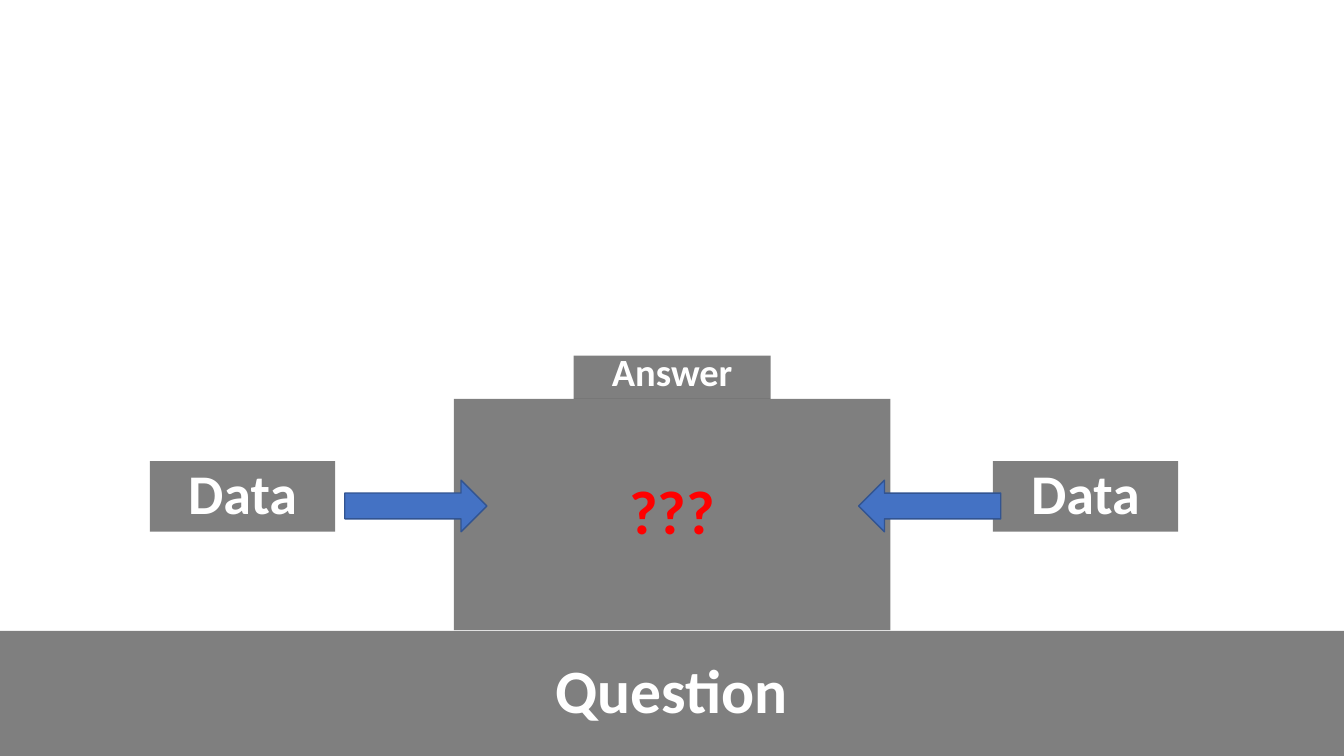
from pptx import Presentation
from pptx import util as u
from pptx.dml import color
from pptx.enum import shapes, text
from pptx.oxml import ns
from lxml import etree

GREY_VEIL, WHITE, RED = "000000", "FFFFFF", "FF0000"
ARROW_FILL, ARROW_LINE = "4472C4", "325491"
SLIDE_WIDTH, SLIDE_HEIGHT = 33.87, 19.05


def rgb(hex_value):
    return color.RGBColor.from_string(hex_value)


def set_format(target, values):
    for name, value in values.items():
        setattr(target, name, value)


def place(shape, box):
    names = ("left", "top", "width", "height")
    set_format(shape, dict(zip(names, map(u.Cm, box))))


def fill_half_transparent(shape, hex_value):
    shape.fill.solid()
    shape.fill.fore_color.rgb = rgb(hex_value)
    shade = shape.fill._xPr.find(".//" + ns.qn("a:srgbClr"))
    etree.SubElement(shade, ns.qn("a:alpha"), val="50000")


def write_label(shape, label, size, hex_value=WHITE, line_spacing=0.9):
    """Style a shape as a grey block with one centred bold line."""
    fill_half_transparent(shape, GREY_VEIL)
    shape.line.fill.background()
    frame = shape.text_frame
    set_format(frame, {"text": label, "word_wrap": True,
                       "auto_size": text.MSO_AUTO_SIZE.NONE,
                       "vertical_anchor": text.MSO_ANCHOR.MIDDLE})
    paragraph = frame.paragraphs[0]
    set_format(paragraph, {"alignment": text.PP_ALIGN.CENTER,
                           "line_spacing": line_spacing,
                           "space_before": u.Pt(0)})
    font = paragraph.runs[0].font
    set_format(font, {"name": "Calibri", "size": u.Pt(size), "bold": True})
    font.color.rgb = rgb(hex_value)


def add_preset(slide, preset, box):
    shape = slide.shapes.add_shape(preset, *map(u.Cm, box))
    shape.shadow.inherit = False
    return shape


def add_block(slide, box, label, size, **style):
    block = add_preset(slide, shapes.MSO_SHAPE.RECTANGLE, box)
    write_label(block, label, size, **style)


def add_question(slide, box):
    title = slide.shapes.title
    place(title, box)
    write_label(title, "Question", 44)


def add_answer_tower(slide, box):
    """Stack the small answer block, centred, on the unknown block."""
    left, top, width, height = box
    answer_width, answer_height = 4.96, 1.09
    answer_left = left + (width - answer_width) / 2
    add_block(slide, (answer_left, top, answer_width, answer_height),
              "Answer", 27.5, line_spacing=0.7)
    add_block(slide, (left, top + answer_height, width, height - answer_height),
              "???", 44, hex_value=RED)


def add_data_arrow(slide, box, rotation):
    arrow = add_preset(slide, shapes.MSO_SHAPE.RIGHT_ARROW, box)
    arrow.rotation = rotation
    arrow.fill.solid()
    arrow.fill.fore_color.rgb = rgb(ARROW_FILL)
    arrow.line.color.rgb = rgb(ARROW_LINE)
    arrow.line.width = u.Pt(1)


def add_data_source(slide, box, arrow_offset, rotation):
    """Place a data block and its arrow, offset from the block's left edge."""
    left, top, width, height = box
    add_block(slide, box, "Data", 40)
    arrow_box = (left + arrow_offset, top + 0.48, 3.58, 1.3)
    add_data_arrow(slide, arrow_box, rotation)


def main():
    presentation = Presentation()
    set_format(presentation, {"slide_width": u.Cm(SLIDE_WIDTH),
                              "slide_height": u.Cm(SLIDE_HEIGHT)})
    slide = presentation.slides.add_slide(presentation.slide_layouts[5])
    add_question(slide, (0, 15.9, SLIDE_WIDTH, 3.15))
    add_answer_tower(slide, (11.44, 8.96, 11, 6.92))
    for left, arrow_offset, rotation in ((3.78, 4.91, 0), (25.02, -3.38, 180)):
        add_data_source(slide, (left, 11.62, 4.67, 1.78), arrow_offset, rotation)
    presentation.save("out.pptx")


if __name__ == "__main__":
    main()
